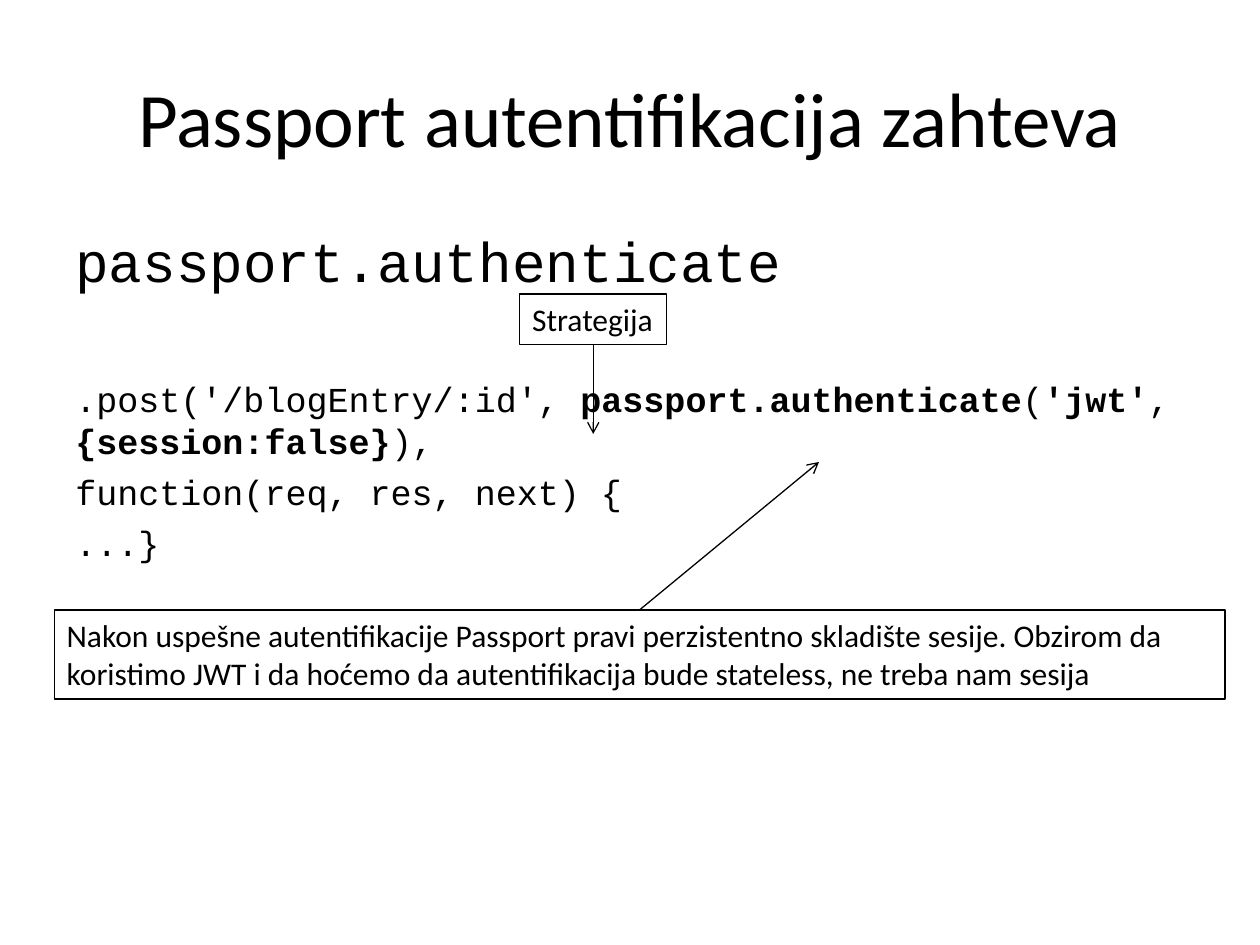
from lxml import etree
from pptx import Presentation
from pptx import util as u
from pptx.dml.color import RGBColor
from pptx.enum import shapes, text
from pptx.oxml import ns

BLACK = RGBColor(0, 0, 0)
BODY_FONT, CODE_FONT = "Calibri", "Courier New"
TOP, BOTTOM = 0, 2  # connection sites of a rectangle

TITLE = "Passport autentifikacija zahteva"
# Each paragraph: size, space before, runs of (words, bold)
CODE = [
    (32, 6.4, [("passport.authenticate", False)]),
    (20, 48, [
        (".post('/blogEntry/:id', ", False),
        ("passport.authenticate", True),
        ("(", False),
        ("'jwt'", True),
        (",", False),
        ("{session:false}", True),
        ("),", False),
    ]),
    (20, 5, [("function(req, res, next) {", False)]),
    (20, 5, [("...}", False)]),
]
# Each callout: lines, box, site where its arrow starts, arrow target, wrap
CALLOUTS = [
    (["Strategija"], (297, 168, 84, 29), BOTTOM, (339, 248), False),
    (["Nakon uspešne autentifikacije Passport pravi perzistentno skladište sesije. Obzirom da",
      "koristimo JWT i da hoćemo da autentifikacija bude stateless, ne treba nam sesija"],
     (31, 348.5, 669, 51), TOP, (468, 264), True),
]


def write(shape, paragraphs, font=BODY_FONT, align=text.PP_ALIGN.LEFT,
          anchor=text.MSO_ANCHOR.TOP, wrap=True):
    """Fill a shape with paragraphs given as (size, space before, runs)."""
    frame = shape.text_frame
    frame.word_wrap = wrap
    frame.vertical_anchor = anchor
    for i, (size, before, runs) in enumerate(paragraphs):
        paragraph = frame.add_paragraph() if i else frame.paragraphs[0]
        paragraph.alignment = align
        paragraph.space_before = u.Pt(before)
        for words, bold in runs:
            run = paragraph.add_run()
            run.text = words
            run.font.name = font
            run.font.size = u.Pt(size)
            run.font.bold = bold
            run.font.color.rgb = BLACK


def add_callout(slide, lines, box, site, target, wrap):
    callout = slide.shapes.add_shape(shapes.MSO_SHAPE.RECTANGLE, *map(u.Pt, box))
    callout.shadow.inherit = False
    callout.fill.background()
    callout.line.color.rgb = BLACK
    callout.line.width = u.Pt(0.75)
    write(callout, [(18, 0, [(line, False)]) for line in lines], wrap=wrap)

    left, top, width, height = box
    start = left + width / 2, top + (height if site == BOTTOM else 0)
    arrow = slide.shapes.add_connector(
        shapes.MSO_CONNECTOR.STRAIGHT, *map(u.Pt, start + target))
    arrow.begin_connect(callout, site)
    arrow.line.color.rgb = BLACK
    arrow.line.width = u.Pt(0.75)
    etree.SubElement(arrow.line._get_or_add_ln(), ns.qn("a:tailEnd"), type="arrow")
    etree.SubElement(arrow._element.spPr, ns.qn("a:effectLst"))


def main():
    deck = Presentation()
    deck.slide_width, deck.slide_height = u.Pt(720), u.Pt(540)
    slide = deck.slides.add_slide(deck.slide_layouts[6])

    title = slide.shapes.add_textbox(*map(u.Pt, (36, 21.6, 648, 90)))
    write(title, [(44, 0, [(TITLE, False)])],
          align=text.PP_ALIGN.CENTER, anchor=text.MSO_ANCHOR.MIDDLE)
    code = slide.shapes.add_textbox(*map(u.Pt, (36, 126, 648, 356.4)))
    write(code, CODE, font=CODE_FONT)
    for callout in CALLOUTS:
        add_callout(slide, *callout)

    deck.save("out.pptx")


if __name__ == "__main__":
    main()
